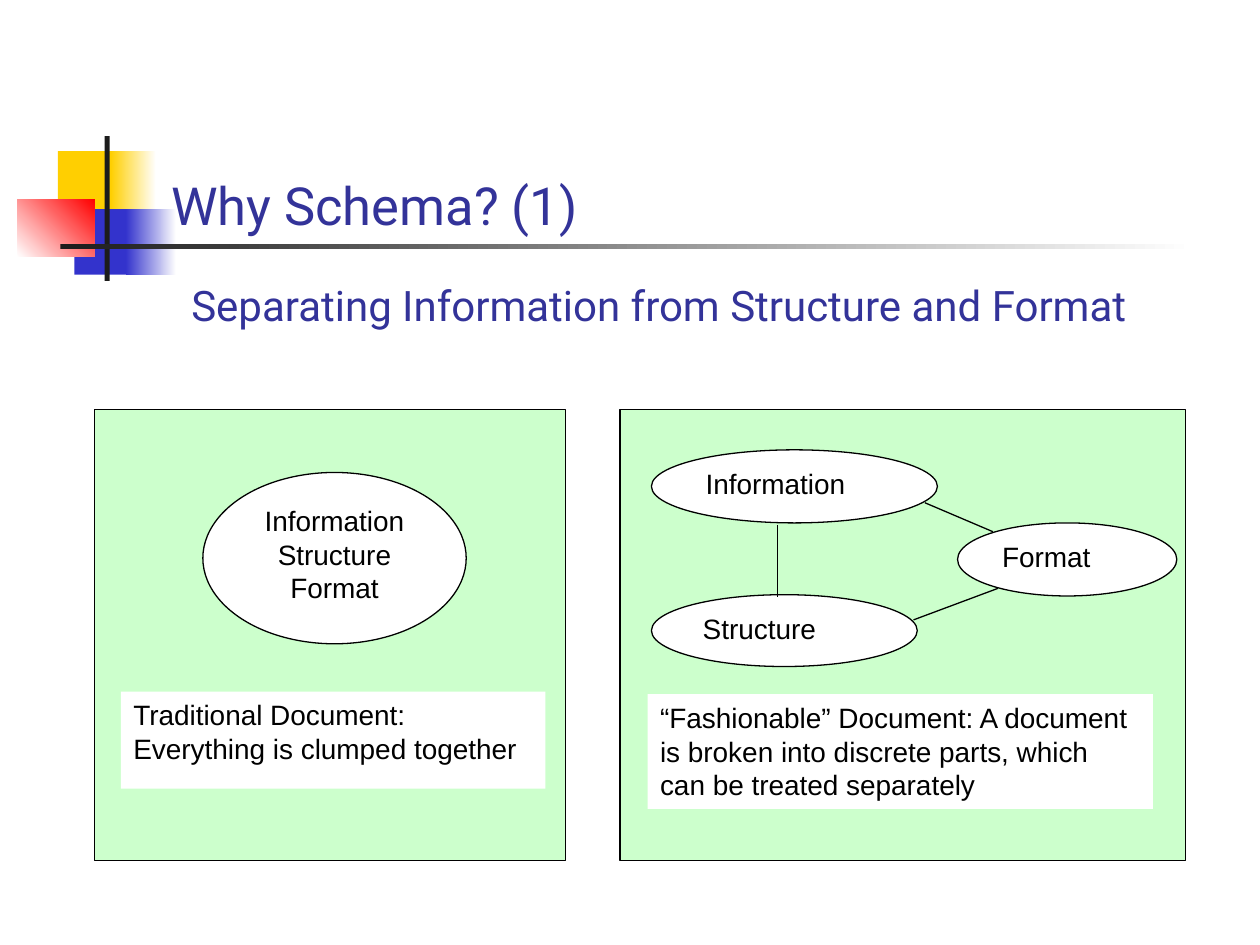
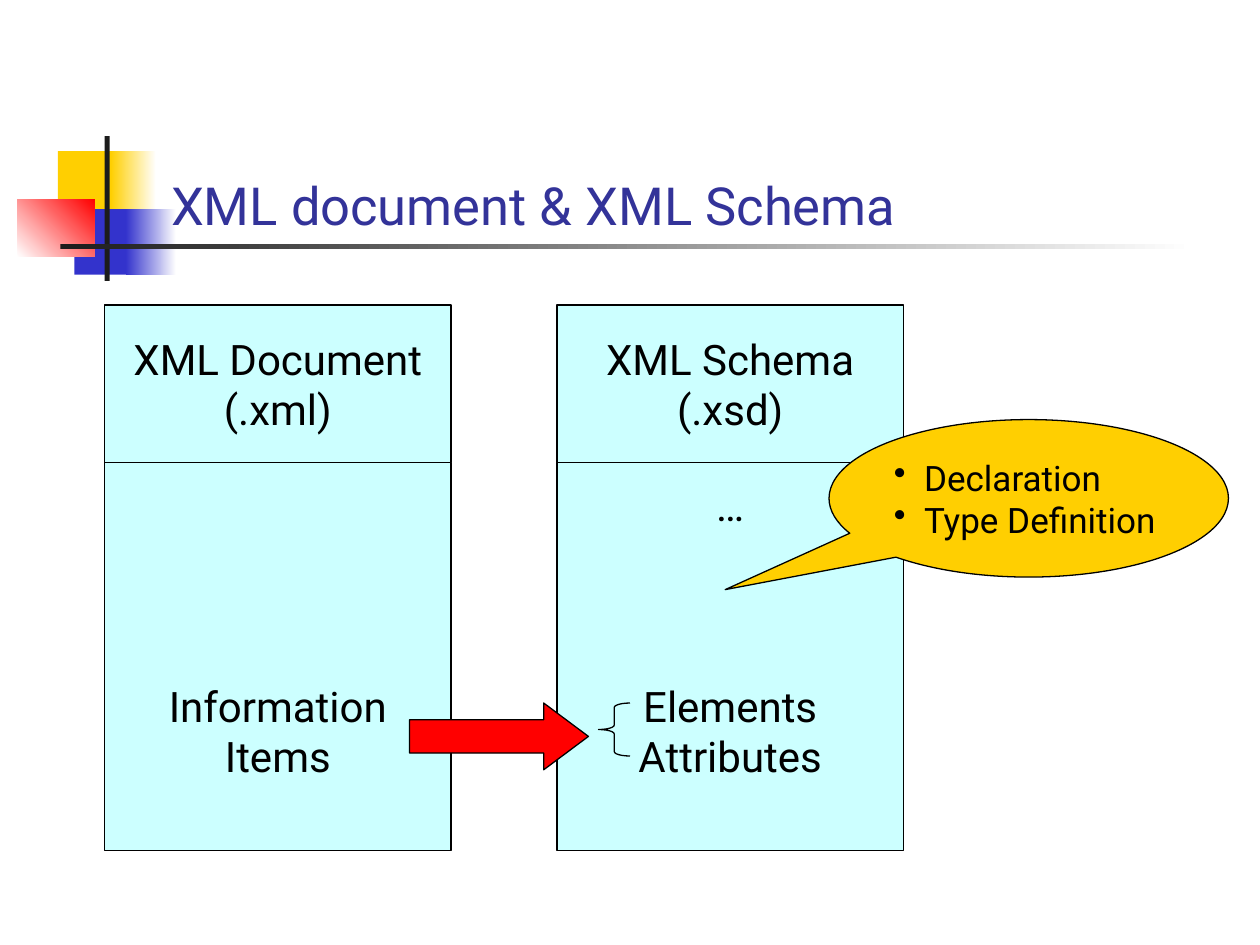
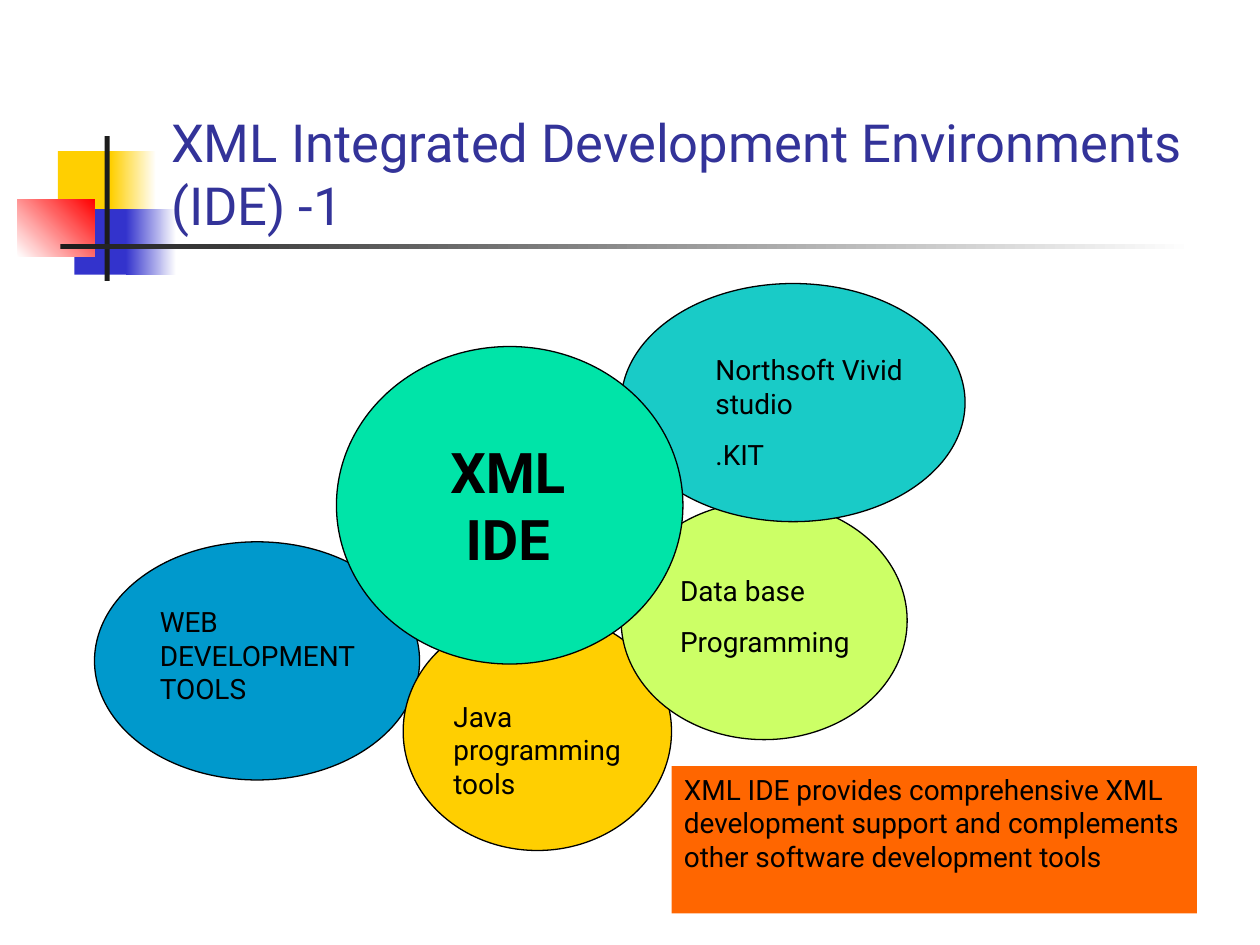
from dataclasses import dataclass

from lxml import etree
from pptx import Presentation
from pptx.dml.color import RGBColor
from pptx.enum import shapes, text
from pptx.oxml import ns
from pptx.util import Inches, Pt


@dataclass(frozen=True)
class Theme:
    heading_font: str = "Roboto"
    plain_font: str = "Arial"
    title_size: int = 30
    large: int = 24
    medium: int = 20
    small: int = 16
    hub_size: int = 32
    line_width: float = 0.75
    title: str = "333399"
    black: str = "000000"
    white: str = "FFFFFF"
    yellow: str = "FFCF01"
    blue: str = "3333CC"
    red: str = "FF0000"
    dark: str = "1C1C1C"
    green_panel: str = "CCFFCC"
    cyan_panel: str = "CCFFFF"
    orange: str = "FF6600"
    hub: str = "00E4A8"


THEME = Theme()
SHAPE = shapes.MSO_SHAPE
ANCHOR = text.MSO_ANCHOR
CENTER = text.PP_ALIGN.CENTER

MOTIF = [
    ((0.46, 1.2, 0.48, 0.52), THEME.yellow),
    ((0.88, 1.2, 0.36, 0.52), (THEME.yellow, THEME.white, 0)),
    ((0.59, 1.66, 0.46, 0.52), THEME.blue),
    ((1, 1.66, 0.4, 0.52), (THEME.blue, THEME.white, 0)),
    ((0.14, 1.58, 0.61, 0.46), (THEME.white, THEME.red, 45)),
    ((0.83, 1.08, 0.04, 1.15), THEME.dark),
    ((0.48, 1.94, 9, 0.04), (THEME.dark, THEME.white, 0)),
]
TITLE_BOX = (1.26, 0.67, 8.52, 1.25)

WHY_TITLE = "Why Schema? (1)"
WHY_SUBTITLE = "Separating Information from Structure and Format"
WHY_PANELS = [(4.92, 3.25, 4.49, 3.58), (0.75, 3.25, 3.74, 3.58)]
CLUMP = ((1.61, 3.75, 2.09, 1.36), ["Information", "Structure", "Format"])
PARTS = [
    ((5.17, 3.57, 2.27, 0.58), "Information"),
    ((5.17, 4.72, 2.11, 0.57), "Structure"),
    ((7.6, 4.15, 1.74, 0.58), "Format"),
]
PART_LINKS = [
    (6.17, 4.17, 6.17, 4.74),
    (7.25, 4.92, 7.92, 4.67),
    (7.34, 3.99, 7.88, 4.22),
]
CAPTIONS = [
    ((0.96, 5.49, 3.37, 0.77),
     ["Traditional Document:", "Everything is clumped together"]),
    ((5.14, 5.51, 4.01, 0.91),
     ["“Fashionable” Document: A document is broken into discrete parts, "
      "which can be treated separately"]),
]

COMPARE_TITLE = "XML document & XML Schema"
FILES = [
    (["XML Document", "(.xml)"], ["Information", "Items"], 0),
    (["XML Schema", "(.xsd)"], ["…", "Elements", "Attributes"], 86),
]
FILE_LEFT, FILE_TOP, FILE_WIDTH, FILE_STEP = 0.83, 2.42, 2.75, 3.59
HEAD_HEIGHT, BODY_HEIGHT, BODY_BOTTOM_INSET = 1.25, 3.08, 0.55
SCHEMA_PARTS = ["Declaration", "Type Definition"]

IDE_TITLE = "XML Integrated Development Environments (IDE) -1"
TOOLS = [
    ((0.75, 4.3, 2.58, 1.89), "0099CC",
     (1.17, 4.75, 1.92, 0.9), ["WEB DEVELOPMENT TOOLS"]),
    ((3.2, 4.86, 2.13, 1.89), THEME.yellow,
     (3.5, 5.5, 1.61, 0.9), ["Java programming tools"]),
    ((4.93, 3.98, 2.27, 1.89), "CCFF66",
     (5.3, 4.5, 1.7, 0.77), ["Data base", "Programming"]),
    ((4.93, 2.25, 2.73, 1.89), "19CBC7",
     (5.58, 2.75, 2.21, 1.04), ["Northsoft Vivid studio", ".KIT"]),
]
IDE_NOTE = ("XML IDE provides comprehensive XML development support and "
            "complements other software development tools")


def color(value):
    return RGBColor.from_string(value)


def inches(box):
    return [Inches(value) for value in box]


def write(shape, lines, size=THEME.small, font=THEME.heading_font,
          ink=THEME.black, align=text.PP_ALIGN.LEFT, anchor=ANCHOR.TOP,
          bold=False, gap=0):
    frame = shape.text_frame
    frame.text = "\n".join(lines)
    frame.word_wrap = True
    frame.vertical_anchor = anchor
    for index, paragraph in enumerate(frame.paragraphs):
        paragraph.alignment = align
        paragraph.space_before = Pt(gap if index == 1 else 0)
        for run in paragraph.runs:
            run.font.name = font
            run.font.size = Pt(size)
            run.font.bold = bold
            run.font.color.rgb = color(ink)
    return shape


def add_text(slide, box, lines, **style):
    return write(slide.shapes.add_textbox(*inches(box)), lines, **style)


def outline(shape, ink):
    shape.line.color.rgb = color(ink)
    shape.line.width = Pt(THEME.line_width)


def add_shape(slide, kind, box, fill=None, line=THEME.black):
    shape = slide.shapes.add_shape(kind, *inches(box))
    shape.shadow.inherit = False
    if fill is None:
        shape.fill.background()
    elif isinstance(fill, tuple):
        start, end, angle = fill
        shape.fill.gradient()
        shape.fill.gradient_angle = angle
        for stop, value in zip(shape.fill.gradient_stops, (start, end)):
            stop.color.rgb = color(value)
    else:
        shape.fill.solid()
        shape.fill.fore_color.rgb = color(fill)
    if line:
        outline(shape, line)
    else:
        shape.line.fill.background()
    return shape


def add_line(slide, ends):
    line = slide.shapes.add_connector(
        shapes.MSO_CONNECTOR.STRAIGHT, *inches(ends))
    outline(line, THEME.black)
    etree.SubElement(line._element.spPr, ns.qn("a:effectLst"))


def add_bullets(shape, indent):
    for paragraph in shape.text_frame.paragraphs:
        properties = paragraph._p.get_or_add_pPr()
        properties.set("marL", str(Inches(indent)))
        properties.set("indent", str(-Inches(indent)))
        etree.SubElement(properties, ns.qn("a:buChar"), char="•")


def add_slide(presentation, title):
    slide = presentation.slides.add_slide(presentation.slide_layouts[6])
    for box, fill in MOTIF:
        add_shape(slide, SHAPE.RECTANGLE, box, fill, None)
    add_text(slide, TITLE_BOX, [title], size=THEME.title_size,
             ink=THEME.title, anchor=ANCHOR.BOTTOM)
    return slide


def build_why(presentation):
    slide = add_slide(presentation, WHY_TITLE)
    for box in WHY_PANELS:
        add_shape(slide, SHAPE.RECTANGLE, box, THEME.green_panel)
    box, lines = CLUMP
    write(add_shape(slide, SHAPE.OVAL, box, THEME.white), lines,
          font=THEME.plain_font, align=CENTER)
    for box, name in PARTS:
        write(add_shape(slide, SHAPE.OVAL, box, THEME.white), [name],
              font=THEME.plain_font)
    for ends in PART_LINKS:
        add_line(slide, ends)
    for box, lines in CAPTIONS:
        write(add_shape(slide, SHAPE.RECTANGLE, box, THEME.white, None),
              lines, font=THEME.plain_font)
    add_text(slide, (1.42, 2.17, 7.83, 0.9), [WHY_SUBTITLE],
             size=THEME.large, ink=THEME.title)


def build_compare(presentation):
    slide = add_slide(presentation, COMPARE_TITLE)
    for index, (heading, content, gap) in enumerate(FILES):
        left = FILE_LEFT + index * FILE_STEP
        head = add_shape(slide, SHAPE.RECTANGLE,
                         (left, FILE_TOP, FILE_WIDTH, HEAD_HEIGHT),
                         THEME.cyan_panel)
        write(head, heading, size=THEME.large, align=CENTER,
              anchor=ANCHOR.MIDDLE)
        body = add_shape(slide, SHAPE.RECTANGLE,
                         (left, FILE_TOP + HEAD_HEIGHT, FILE_WIDTH,
                          BODY_HEIGHT), THEME.cyan_panel)
        write(body, content, size=THEME.large, align=CENTER,
              anchor=ANCHOR.BOTTOM, gap=gap)
        body.text_frame.margin_bottom = Inches(BODY_BOTTOM_INSET)

    callout = add_shape(slide, SHAPE.OVAL_CALLOUT, (6.58, 3.33, 3.17, 1.25),
                        THEME.yellow)
    callout.adjustments[0] = -0.76
    callout.adjustments[1] = 0.58
    write(callout, SCHEMA_PARTS, size=THEME.medium, anchor=ANCHOR.MIDDLE)
    callout.text_frame.margin_left = Inches(0.05)
    callout.text_frame.margin_right = 0
    add_bullets(callout, 0.24)

    brace = add_shape(slide, SHAPE.LEFT_BRACE, (4.75, 5.58, 0.25, 0.42))
    brace.adjustments[0] = 0.14
    arrow = add_shape(slide, SHAPE.RIGHT_ARROW, (3.25, 5.58, 1.42, 0.53),
                      THEME.red)
    arrow.adjustments[1] = 0.67


def build_ide(presentation):
    slide = add_slide(presentation, IDE_TITLE)
    for oval_box, fill, label_box, lines in TOOLS:
        add_shape(slide, SHAPE.OVAL, oval_box, fill)
        add_text(slide, label_box, lines, gap=10)
    add_shape(slide, SHAPE.OVAL, (2.67, 2.75, 2.75, 2.52), THEME.hub)
    add_text(slide, (3.17, 3.42, 1.72, 1.17), ["XML IDE"],
             size=THEME.hub_size, align=CENTER, bold=True)
    note = add_shape(slide, SHAPE.RECTANGLE, (5.33, 6.08, 4.17, 1.17),
                     THEME.orange, None)
    write(note, [IDE_NOTE])


def main():
    presentation = Presentation()
    presentation.slide_width = Inches(10)
    presentation.slide_height = Inches(7.5)
    build_why(presentation)
    build_compare(presentation)
    build_ide(presentation)
    presentation.save("out.pptx")


if __name__ == "__main__":
    main()
